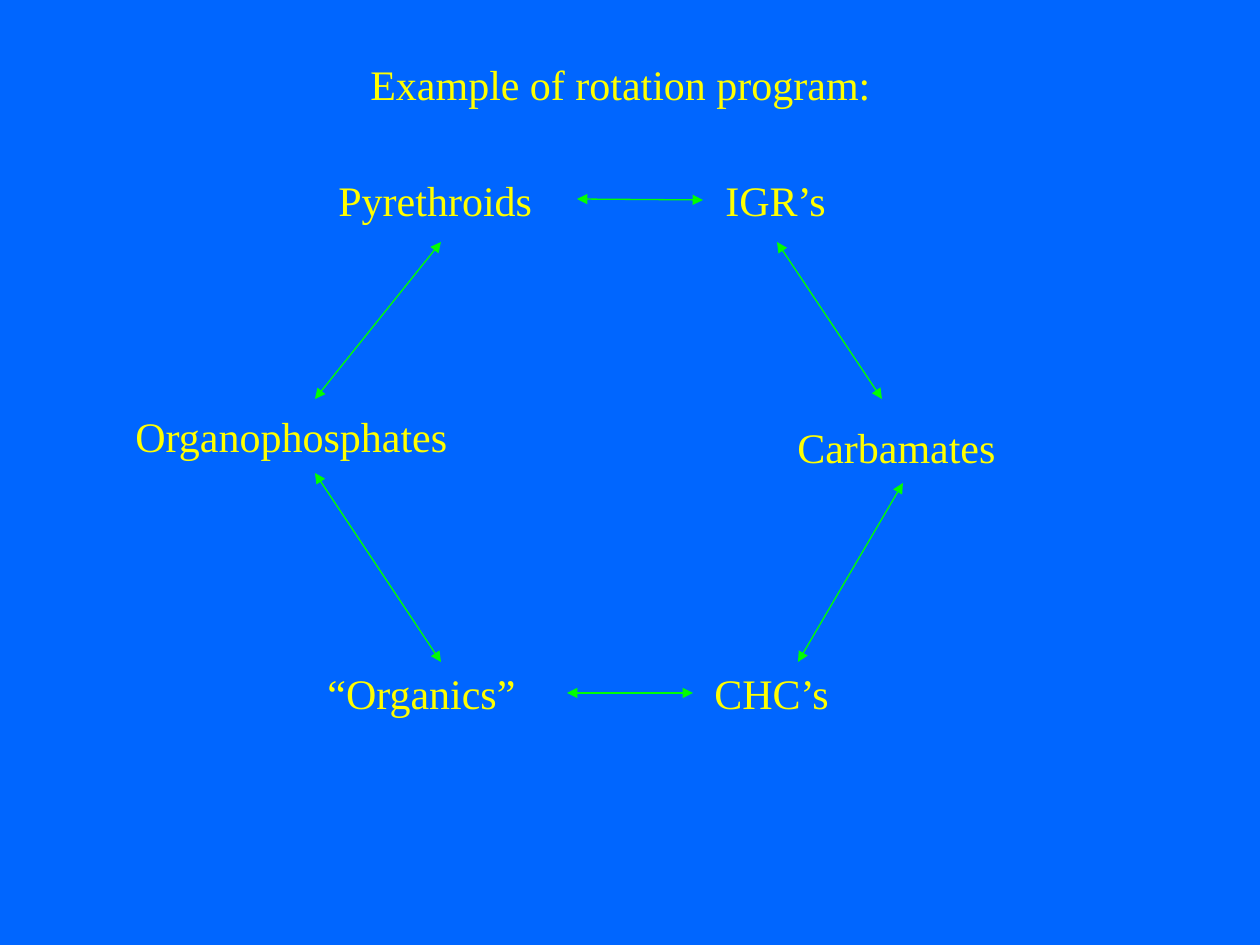
import lxml.etree
import pptx
import pptx.dml.color
import pptx.enum.shapes
import pptx.enum.text
import pptx.oxml.ns
import pptx.util

PX = pptx.util.Inches(1) // 126
LABEL_HEIGHT = 63


def color(hex_string):
    return pptx.dml.color.RGBColor.from_string(hex_string)


presentation = pptx.Presentation()
presentation.slide_width = 1260 * PX
presentation.slide_height = 945 * PX
slide = presentation.slides.add_slide(presentation.slide_layouts[6])
slide.background.fill.solid()
slide.background.fill.fore_color.rgb = color("0066FF")

# Text, left, top, width
labels = [
    ("Organophosphates", 123, 404, 342),
    ("Carbamates", 785, 415, 228),
    ("Pyrethroids", 326, 168, 223),
    ("CHC’s", 702, 661, 145),
    ("“Organics”", 315, 661, 218),
    ("IGR’s", 713, 168, 131),
    ("Example of rotation program:", 358, 52, 531),
]
for text, left, top, width in labels:
    label = slide.shapes.add_textbox(left * PX, top * PX, width * PX, LABEL_HEIGHT * PX)
    frame = label.text_frame
    frame.word_wrap = False
    frame.auto_size = pptx.enum.text.MSO_AUTO_SIZE.NONE
    paragraph = frame.paragraphs[0]
    paragraph.text = text
    paragraph.font.name = "Times New Roman"
    paragraph.font.size = pptx.util.Pt(24)
    paragraph.font.color.rgb = color("FFFF00")

# Start x, start y, end x, end y
rotation_steps = [
    (441, 242, 315, 399),
    (777, 242, 882, 399),
    (577, 199, 703, 200),
    (315, 473, 441, 662),
    (903, 483, 798, 662),
    (567, 693, 693, 693),
]
for step in rotation_steps:
    arrow = slide.shapes.add_connector(
        pptx.enum.shapes.MSO_CONNECTOR.STRAIGHT, *(point * PX for point in step)
    )
    arrow.line.color.rgb = color("00FF00")
    arrow.line.width = pptx.util.Pt(0.75)
    properties = arrow.element.spPr
    outline = properties.find(pptx.oxml.ns.qn("a:ln"))
    for end in ("a:headEnd", "a:tailEnd"):
        lxml.etree.SubElement(outline, pptx.oxml.ns.qn(end), type="triangle")
    lxml.etree.SubElement(properties, pptx.oxml.ns.qn("a:effectLst"))

presentation.save("out.pptx")
